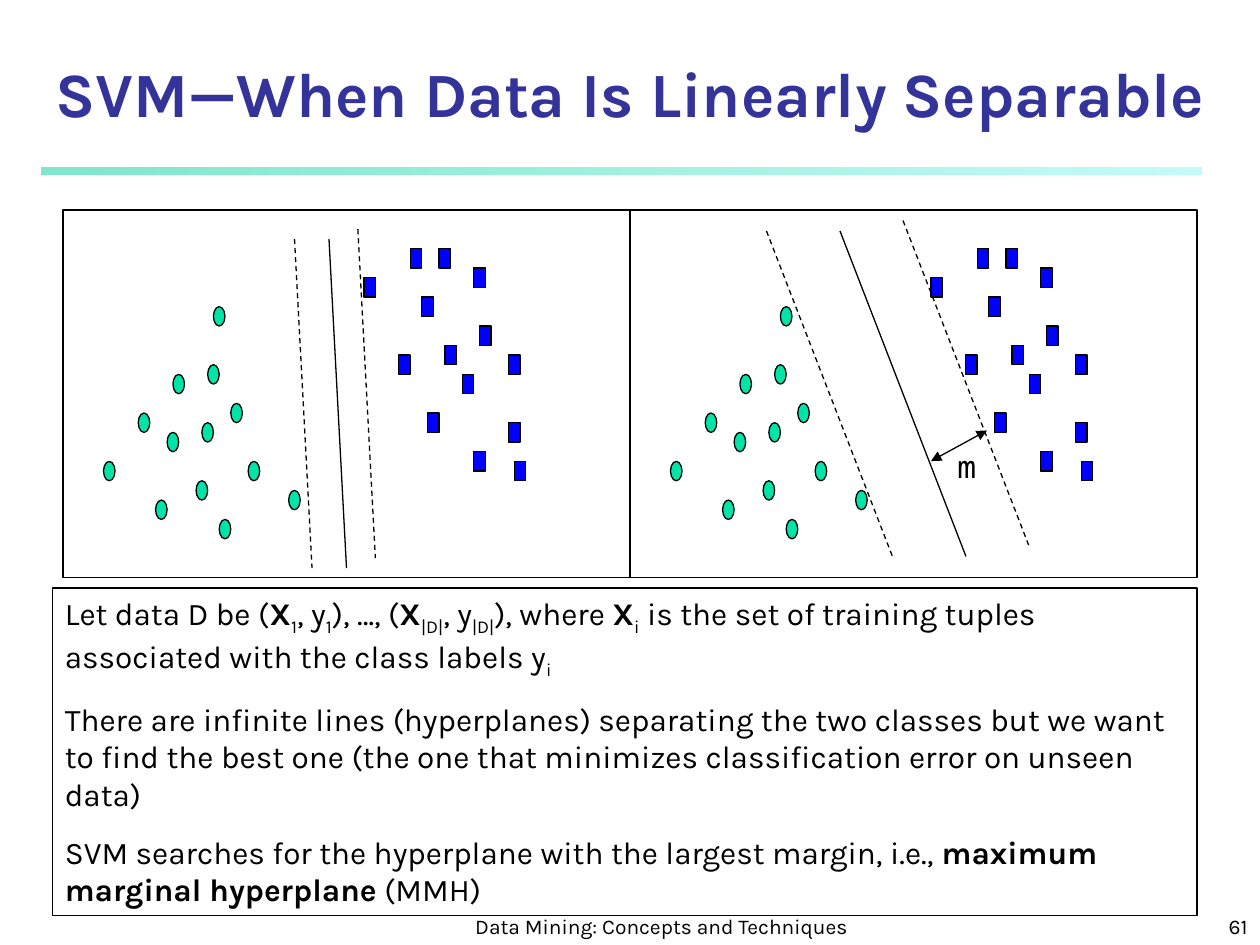
from lxml.etree import SubElement
from pptx import Presentation
from pptx.dml.color import RGBColor
from pptx.enum.dml import MSO_LINE_DASH_STYLE as Dash
from pptx.enum.shapes import MSO_CONNECTOR as Connector, MSO_SHAPE as Shape
from pptx.enum.text import MSO_ANCHOR as Anchor, PP_ALIGN as Align
from pptx.oxml.ns import qn
from pptx.util import Pt

# Content
TITLE = "SVM—When Data Is Linearly Separable"
FOOTER = "Data Mining: Concepts and Techniques"
PAGE_NUMBER = "61"

# Paragraphs as (text, style) runs
NOTES = [
    [("Let data D be (", ""), ("X", "bold"), ("1", "sub"), (", y", ""),
     ("1", "sub"), ("), …, (", ""), ("X", "bold"), ("|D|", "sub"),
     (", y", ""), ("|D|", "sub"), ("), where ", ""), ("X", "bold"),
     ("i", "sub"),
     (" is the set of training tuples associated with the class labels y", ""),
     ("i", "sub")],
    [("There are infinite lines (hyperplanes) separating the two classes but "
      "we want to find the best one (the one that minimizes classification "
      "error on unseen data)", "")],
    [("SVM searches for the hyperplane with the largest margin, i.e., ", ""),
     ("maximum marginal hyperplane", "bold"), (" (MMH)", "")],
]

# Data points as (column, row) on the panel grid
CIRCLES = [(16, 30), (18, 23), (7, 26), (13, 21), (23, 28), (19, 17), (24, 22),
           (25, 16), (29, 20), (32, 26), (27, 32), (39, 29), (26, 10)]
SQUARES = [(58, 15), (52, 7), (60, 4), (63, 21), (62, 9), (66, 14), (65, 4),
           (71, 6), (69, 17), (72, 12), (71, 25), (77, 15), (77, 22), (78, 26)]
CLASSES = [(Shape.OVAL, "00E4A8", CIRCLES), (Shape.RECTANGLE, "0000FF", SQUARES)]

# Per panel: the lines' run and rise, then (start x, start y, dashed)
PANELS = [
    ((10, 188), [(168.5, 11, True), (132.3, 16.6, True), (152, 16.6, False)]),
    ((72, 186), [(78, 12, True), (156, 6, True), (120, 12, False)]),
]

PANEL_LEFT, PANEL_TOP, PANEL_WIDTH, PANEL_HEIGHT = 36, 120, 324, 210
COLUMN, ROW = PANEL_WIDTH / 98, PANEL_HEIGHT / 38
BLACK = "000000"


def color(value):
    return RGBColor.from_string(value)


def add_box(shapes, kind, left, top, width, height, fill=None):
    shape = shapes.add_shape(kind, Pt(left), Pt(top), Pt(width), Pt(height))
    shape.shadow.inherit = False
    if fill:
        shape.fill.solid()
        shape.fill.fore_color.rgb = color(fill)
    else:
        shape.fill.background()
    shape.line.color.rgb = color(BLACK)
    shape.line.width = Pt(0.75)
    return shape


def add_line(shapes, x1, y1, x2, y2, dashed=False, arrows=False):
    line = shapes.add_connector(Connector.STRAIGHT, Pt(x1), Pt(y1), Pt(x2), Pt(y2))
    line.line.color.rgb = color(BLACK)
    line.line.width = Pt(0.75)
    if dashed:
        line.line.dash_style = Dash.DASH
    if arrows:
        outline = line.line._get_or_add_ln()
        for end in ("a:headEnd", "a:tailEnd"):
            SubElement(outline, qn(end), type="triangle")
    SubElement(line._element.spPr, qn("a:effectLst"))


def style_font(paragraph, size, name="Karla", ink=BLACK):
    paragraph.font.size = Pt(size)
    paragraph.font.name = name
    paragraph.font.color.rgb = color(ink)


def add_text(slide, text, left, top, width, height, size, align=Align.LEFT,
             anchor=Anchor.BOTTOM, **font):
    box = slide.shapes.add_textbox(Pt(left), Pt(top), Pt(width), Pt(height))
    frame = box.text_frame
    frame.word_wrap = True
    frame.vertical_anchor = anchor
    paragraph = frame.paragraphs[0]
    paragraph.text = text
    paragraph.alignment = align
    style_font(paragraph, size, **font)
    return paragraph


def add_rule(slide):
    rule = add_box(slide.shapes, Shape.RECTANGLE, 24, 96, 662.5, 4)
    rule.line.fill.background()
    rule.fill.gradient()
    rule.fill.gradient_angle = 0
    stops = [("00CE98", 50000), ("8FF9EF", 52000)]
    for stop, (tint, _) in zip(rule.fill.gradient_stops, stops):
        stop.color.rgb = color(tint)
    tints = rule._element.spPr.iter(qn("a:srgbClr"))
    for tint, (_, alpha) in zip(tints, stops):
        SubElement(tint, qn("a:alpha"), val=str(alpha))


def add_panel(slide, left, direction, lines):
    shapes = slide.shapes.add_group_shape().shapes
    for kind, fill, points in CLASSES:
        for column, row in points:
            add_box(shapes, kind, left + column * COLUMN, PANEL_TOP + row * ROW,
                    2 * COLUMN, 2 * ROW, fill)
    add_box(shapes, Shape.RECTANGLE, left, PANEL_TOP, PANEL_WIDTH, PANEL_HEIGHT)
    run, rise = direction
    for x, y, dashed in lines:
        x, y = left + x, PANEL_TOP + y
        add_line(shapes, x, y, x + run, y + rise, dashed)


def add_notes(slide):
    box = add_box(slide.shapes, Shape.RECTANGLE, 30, 336, 654, 187)
    frame = box.text_frame
    frame.word_wrap = True
    frame.vertical_anchor = Anchor.TOP
    for index, runs in enumerate(NOTES):
        paragraph = frame.add_paragraph() if index else frame.paragraphs[0]
        paragraph.alignment = Align.LEFT
        paragraph.space_before = Pt(11.2)
        style_font(paragraph, 18)
        for text, style in runs:
            run = paragraph.add_run()
            run.text = text
            if style == "bold":
                run.font.bold = True
            elif style == "sub":
                run.font._element.set("baseline", "-25000")


def main():
    presentation = Presentation()
    presentation.slide_width, presentation.slide_height = Pt(720), Pt(540)
    slide = presentation.slides.add_slide(presentation.slide_layouts[6])

    # Heading and footer
    add_rule(slide)
    add_text(slide, FOOTER, 264, 510, 228, 30, 12, Align.CENTER)
    add_text(slide, PAGE_NUMBER, 570, 510, 150, 30, 12, Align.RIGHT)
    title = add_text(slide, TITLE, 0, 30, 720, 48, 36, Align.CENTER, ink="333399")
    title.font.bold = True

    # Small-margin and large-margin panels
    for index, (direction, lines) in enumerate(PANELS):
        add_panel(slide, PANEL_LEFT + index * PANEL_WIDTH, direction, lines)

    # Margin arrow and its label
    add_line(slide.shapes, 532, 263.5, 564, 246, arrows=True)
    label = add_text(slide, "m", 540, 252, 42, 29, 18, anchor=Anchor.TOP,
                     name="Noto Sans Mono")
    label.space_before = Pt(11.2)

    # Explanation
    add_notes(slide)
    presentation.save("out.pptx")


if __name__ == "__main__":
    main()
